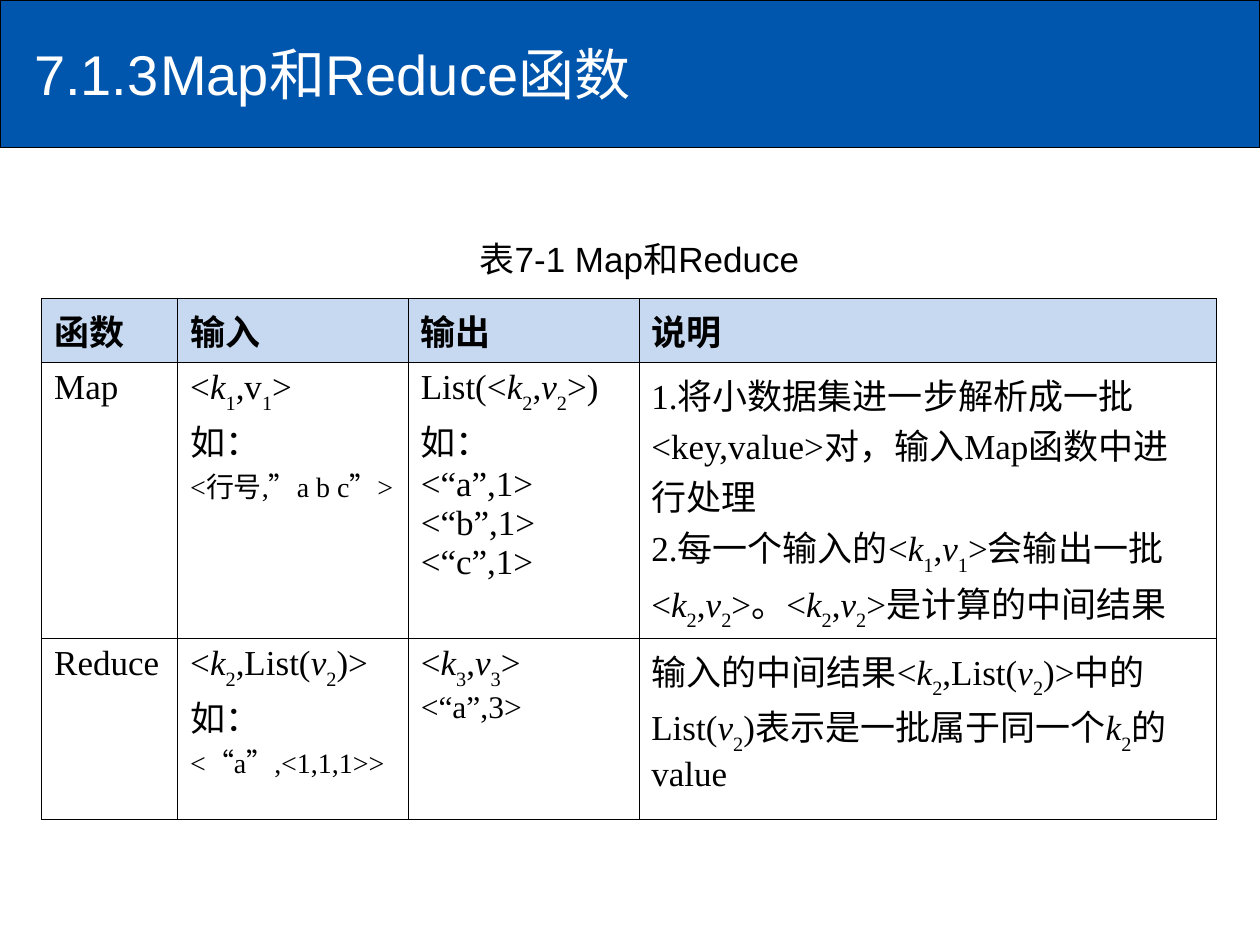
from lxml.etree import SubElement as Sub
from pptx import Presentation
from pptx.dml.color import RGBColor
from pptx.enum.shapes import MSO_SHAPE
from pptx.enum.text import MSO_ANCHOR as Anchor, MSO_AUTO_SIZE as Auto, PP_ALIGN as Align
from pptx.oxml.ns import qn
from pptx.util import Inches, Pt

BLUE = RGBColor(0x00, 0x56, 0xAC)
PALE = RGBColor(0xC6, 0xD9, 0xF1)
BLACK = RGBColor(0, 0, 0)
WHITE = RGBColor(255, 255, 255)
SERIF, SANS = "Times New Roman", "Arial"

# Content: ~ sets the next letter in italics, ^ lowers the next digit.
# A cell is a list of paragraphs, a paragraph a list of (text, size) runs.
TITLE = "7.1.3\tMap和Reduce函数"
NOTE = "表7-1 Map和Reduce"
HEAD = ["函数", "输入", "输出", "说明"]
BODY = [
    [
        [[("Map", 20)]],
        [[("<~k^1,v^1>", 20)], [("如：", 20)], [("<行号,”a b c”>", 16)]],
        [[("List(<~k^2,~v^2>)", 20)], [("如：", 20)], [("<“a”,1>", 20)],
         [("<“b”,1>", 20)], [("<“c”,1>", 20)]],
        [[("1.将小数据集进一步解析成一批<key,value>对，输入Map函数中进行处理", 20)],
         [("2.每一个输入的<~k^1,~v^1>会输出一批<~k^2,~v^2>。"
           "<~k^2,~v^2>是计算的中间结果", 20)]],
    ],
    [
        [[("Reduce", 20)]],
        [[("<~k^2,List(~v^2)>", 20)], [("如：\n", 20), ("<“a”,<1,1,1>>", 16)]],
        [[("<~k^3,~v^3>", 20)], [("<“a”,3>", 18)]],
        [[("输入的中间结果<~k^2,List(~v^2)>中的List(~v^2)"
           "表示是一批属于同一个~k^2的value", 20)]],
    ],
]
COLS = [1.08, 1.83, 1.83, 4.58]
ROWS = [0.43, 1.89, 1.22]


def split(text):
    """Yield (piece, mark) pairs, mark being '', '~' or '^'."""
    plain, mark = "", ""
    for char in text:
        if mark:
            yield char, mark
            mark = ""
        elif char in "~^\n":
            if plain:
                yield plain, ""
            plain = ""
            if char == "\n":
                yield char, ""
            else:
                mark = char
        else:
            plain += char
    if plain:
        yield plain, ""


def write(para, text, size=20, face=SERIF, color=BLACK, bold=False):
    for piece, mark in split(text):
        if piece == "\n":
            para.add_line_break()
            continue
        run = para.add_run()
        run.text = piece
        font = run.font
        font.size, font.name, font.bold = Pt(size), face, bold
        font.color.rgb = color
        font.italic = mark == "~"
        if mark == "^":
            font._element.set("baseline", "-30000")


def border(cell, widths):
    props = cell._tc.get_or_add_tcPr()
    for spot, (side, width) in enumerate(zip("LRTB", widths)):
        line = Sub(props, qn(f"a:ln{side}"), w=str(Pt(width)))
        fill = Sub(line, qn("a:solidFill"))
        Sub(fill, qn("a:srgbClr"), val=str(BLACK))
        props.insert(spot, line)


deck = Presentation()
deck.slide_width, deck.slide_height = Inches(10), Inches(7.5)
slide = deck.slides.add_slide(deck.slide_layouts[5])
shapes = slide.shapes

# Title band, behind the title
band = shapes.add_shape(MSO_SHAPE.RECTANGLE, 0, 0, deck.slide_width, Inches(1.17))
band.shadow.inherit = False
band.fill.solid()
band.fill.fore_color.rgb = BLUE
band.line.color.rgb = BLACK
band.line.width = Pt(0.75)
shapes._spTree.insert(2, band._element)

# Title, with a tab stop after its number
title = shapes.title
title.left, title.top = Inches(0.17), Inches(0.08)
title.width, title.height = Inches(8.75), Inches(1)
frame = title.text_frame
frame.auto_size, frame.vertical_anchor = Auto.NONE, Anchor.MIDDLE
para = frame.paragraphs[0]
para.alignment = Align.LEFT
tabs = Sub(para._p.get_or_add_pPr(), qn("a:tabLst"))
Sub(tabs, qn("a:tab"), pos=str(Inches(1)), algn="l")
write(para, TITLE, size=32, face=SANS, color=WHITE)

# Table
table = shapes.add_table(len(ROWS), len(COLS), Inches(0.33), Inches(2.37),
                         Inches(sum(COLS)), Inches(sum(ROWS))).table
for col, width in zip(table.columns, COLS):
    col.width = Inches(width)
for row, height in zip(table.rows, ROWS):
    row.height = Inches(height)
grid = [[[[(name, 20)]] for name in HEAD]] + BODY
last = len(COLS) - 1
for r, line in enumerate(grid):
    for c, paras in enumerate(line):
        cell = table.cell(r, c)
        if r == 0:
            cell.fill.solid()
            cell.fill.fore_color.rgb = PALE
        else:
            cell.fill.background()
        border(cell, (0.45 if c == 0 else 0.34, 0.45 if c == last else 0.34,
                      0.34 if r == 0 else 0.45, 0.45))
        frame = cell.text_frame
        for n, runs in enumerate(paras):
            para = frame.add_paragraph() if n else frame.paragraphs[0]
            for text, size in runs:
                write(para, text, size=size, bold=r == 0)

# Table caption
box = shapes.add_textbox(Inches(3.61), Inches(1.83), Inches(2.93), Inches(0.44))
frame = box.text_frame
frame.word_wrap, frame.auto_size = False, Auto.SHAPE_TO_FIT_TEXT
frame.vertical_anchor = Anchor.MIDDLE
frame.paragraphs[0].alignment = Align.CENTER
write(frame.paragraphs[0], NOTE, face=SANS)

deck.save("out.pptx")
